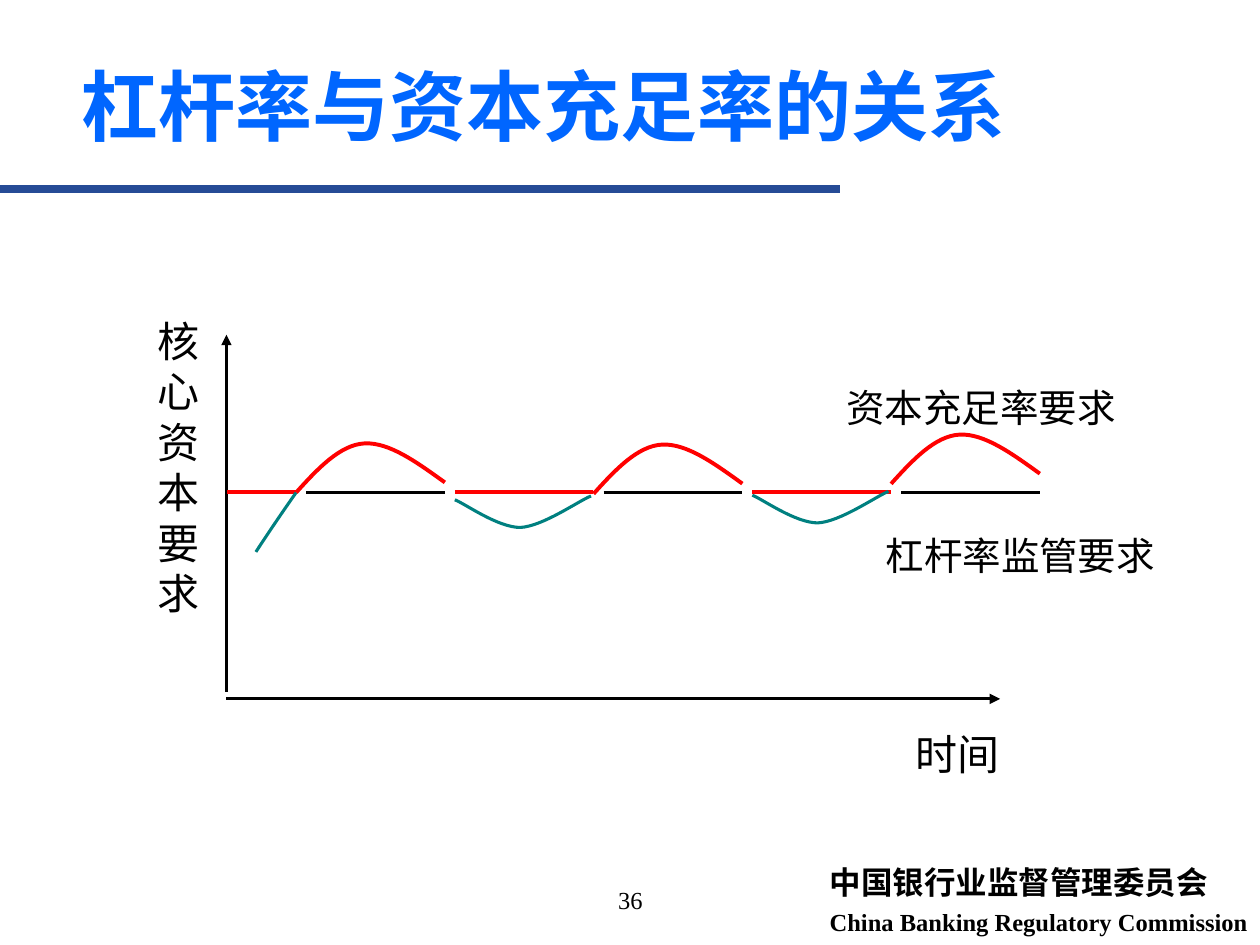
from dataclasses import dataclass

from lxml import etree
from pptx import Presentation
from pptx import util as u
from pptx.dml.color import RGBColor
from pptx.enum import shapes, text
from pptx.oxml.ns import qn

BLACK, RED, TEAL = "000000", "FF0000", "008080"
PERIOD = 170  # one business cycle along the time axis
BASELINE = 281.4


@dataclass
class Wording:
    content: str
    size: float
    font: str = "Roboto"
    bold: bool = False
    space_before: float = 0


@dataclass
class Label:
    wordings: list[Wording]
    left: float
    top: float
    width: float
    height: float
    align: text.PP_ALIGN = text.PP_ALIGN.LEFT
    wrap: bool = True
    margins: tuple[float, float] = (0, 0)  # sides, top and bottom


@dataclass
class Line:
    start: tuple[float, float]
    end: tuple[float, float]
    color: str
    width: float
    arrow: bool = False


@dataclass
class Curve:
    left: float
    top: float
    offsets: list[tuple[float, float]]  # start, then three points per Bezier segment
    color: str
    width: float


def rgb(color: str) -> RGBColor:
    return RGBColor.from_string(color)


def write_paragraph(paragraph, wording: Wording, color: str) -> None:
    run = paragraph.add_run()
    run.text = wording.content
    values = {"name": wording.font, "size": u.Pt(wording.size), "bold": wording.bold}
    for attribute, value in values.items():
        setattr(run.font, attribute, value)
    run.font.color.rgb = rgb(color)
    etree.SubElement(run.font._element, qn("a:ea"), typeface=wording.font)
    if wording.space_before:
        paragraph.space_before = u.Pt(wording.space_before)


def add_label(slide, label: Label) -> None:
    box = slide.shapes.add_textbox(
        u.Pt(label.left), u.Pt(label.top), u.Pt(label.width), u.Pt(label.height))
    frame = box.text_frame
    sides, ends = (u.Pt(margin) for margin in label.margins)
    values = {"margin_left": sides, "margin_right": sides, "margin_top": ends,
              "margin_bottom": ends, "word_wrap": label.wrap}
    for attribute, value in values.items():
        setattr(frame, attribute, value)
    if not label.wrap:
        frame.auto_size = text.MSO_AUTO_SIZE.SHAPE_TO_FIT_TEXT
    for index, wording in enumerate(label.wordings):
        paragraph = frame.add_paragraph() if index else frame.paragraphs[0]
        paragraph.alignment = label.align
        write_paragraph(paragraph, wording, BLACK)


def add_line(slide, line: Line) -> None:
    connector = slide.shapes.add_connector(
        shapes.MSO_CONNECTOR.STRAIGHT, *(u.Pt(value) for value in line.start + line.end))
    connector.line.color.rgb = rgb(line.color)
    connector.line.width = u.Pt(line.width)
    if line.arrow:
        etree.SubElement(connector.line._get_or_add_ln(), qn("a:tailEnd"), type="triangle")
    etree.SubElement(connector._element.spPr, qn("a:effectLst"))


def add_curve(slide, curve: Curve) -> None:
    builder = slide.shapes.build_freeform(u.Pt(curve.left), u.Pt(curve.top))
    builder.add_line_segments(
        [(u.Pt(curve.left + x), u.Pt(curve.top + y)) for x, y in curve.offsets[1:]],
        close=False)
    shape = builder.convert_to_shape()
    # Turn every three straight segments into one Bezier segment
    segments = list(shape._element.iter(qn("a:lnTo")))
    outline = segments[0].getparent()
    for first in range(0, len(segments), 3):
        bezier = etree.SubElement(outline, qn("a:cubicBezTo"))
        for segment in segments[first:first + 3]:
            bezier.append(segment[0])
            outline.remove(segment)
    shape.shadow.inherit = False
    shape.fill.background()
    shape.line.color.rgb = rgb(curve.color)
    shape.line.width = u.Pt(curve.width)


def add_title(slide, wording: Wording) -> None:
    title = slide.shapes.title
    box = {"left": 39.6, "top": 0, "width": 613.4, "height": 90}
    for attribute, value in box.items():
        setattr(title, attribute, u.Pt(value))
    title.text_frame.vertical_anchor = text.MSO_ANCHOR.BOTTOM
    paragraph = title.text_frame.paragraphs[0]
    paragraph.alignment = text.PP_ALIGN.LEFT
    write_paragraph(paragraph, wording, "0066FF")


HUMP = [(0, 0), (12.4, -13.7), (25.2, -27.4), (39.2, -28.1),
        (53.3, -28.8), (69, -17.3), (85, -5.8)]
TROUGH = [(0, 0), (5.8, 2.2), (24.5, 15.8), (37.4, 15.8),
          (50.4, 15.1), (70.6, 0.7), (77.8, -2.2)]
RISE = [(0, 0), (9.4, -14.4), (19.4, -28.8), (23, -33.9)]

LABELS = [
    Label([Wording("中国银行业监督管理委员会", 18, "DejaVu Sans", True),
           Wording("China Banking Regulatory Commission", 14, "Times New Roman", True, 3.5)],
          467, 489.6, 253.4, 49, wrap=False, margins=(7.2, 3.6)),
    Label([Wording("36", 14, "Times New Roman")], 246.2, 502.4, 228.2, 37.4,
          align=text.PP_ALIGN.CENTER, margins=(7.2, 3.6)),
    Label([Wording("核心资本要求", 24)], 90, 180.3, 23, 172.8),
    Label([Wording("时间", 24)], 523.4, 416.2, 51.1, 28.8),
    Label([Wording("资本充足率要求", 22)], 483.8, 219.6, 198.7, 26.6),
    Label([Wording("杠杆率监管要求", 22)], 506.2, 303.8, 187.2, 26.6),
]


def main() -> None:
    presentation = Presentation()
    presentation.slide_width, presentation.slide_height = u.Pt(720), u.Pt(540)
    slide = presentation.slides.add_slide(presentation.slide_layouts[5])

    # Title, rule and axes
    add_title(slide, Wording("杠杆率与资本充足率的关系", 44, "Noto Sans CJK SC", True))
    add_line(slide, Line((0, 108), (480, 108), "264B96", 4.5))
    add_line(slide, Line((129.4, 395.3), (129.4, 191.3), BLACK, 1.75, arrow=True))
    add_line(slide, Line((129.4, 399.4), (571.5, 399.4), BLACK, 1.75, arrow=True))

    # Labels
    for label in LABELS:
        add_label(slide, label)

    # Capital adequacy requirement: red humps and flat stretches
    for cycle, top in enumerate((281.5, 282.2, 276.5)):
        add_curve(slide, Curve(169.2 + cycle * PERIOD, top, HUMP, RED, 2.25))
    for left, right in ((129.6, 169.2), (259.9, 339.1), (429.9, 509.1)):
        add_line(slide, Line((left, BASELINE), (right, BASELINE), RED, 2.25))

    # Leverage ratio requirement: teal dips and black flat stretches
    add_curve(slide, Curve(146.2, 315.4, RISE, TEAL, 1.75))
    for cycle, top in enumerate((285.6, 283)):
        add_curve(slide, Curve(259.9 + cycle * PERIOD, top, TROUGH, TEAL, 1.75))
    for cycle in range(3):
        left = 174.9 + cycle * PERIOD
        add_line(slide, Line((left, BASELINE), (left + 79.2, BASELINE), BLACK, 1.75))

    presentation.save("out.pptx")


if __name__ == "__main__":
    main()
